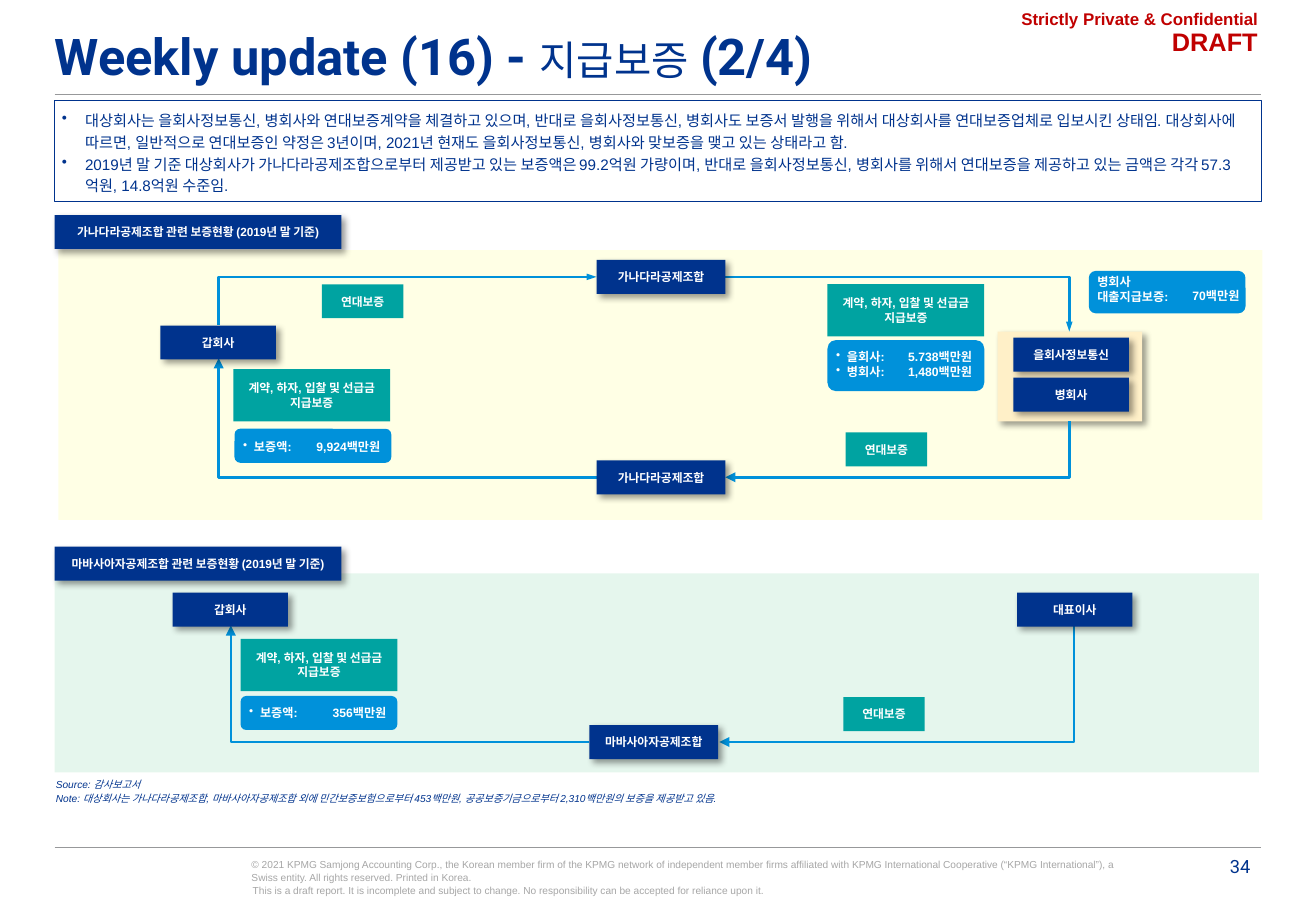
from dataclasses import dataclass
from typing import Optional

import lxml.etree
import pptx
import pptx.dml.color
import pptx.enum.shapes
import pptx.enum.text
import pptx.oxml
import pptx.oxml.ns
import pptx.shapes.autoshape
import pptx.text.text
import pptx.util

Inches = pptx.util.Inches
Align = pptx.enum.text.PP_ALIGN
Anchor = pptx.enum.text.MSO_ANCHOR
Preset = pptx.enum.shapes.MSO_SHAPE


@dataclass(frozen=True)
class Theme:
    navy: str = "00338D"
    blue: str = "0091DA"
    teal: str = "00A3A1"
    beige: str = "FFF0C8"
    yellow: str = "FFFFCC"
    green: str = "00B050"
    white: str = "FFFFFF"
    red: str = "C00000"
    grey: str = "A6A6A6"
    rule: str = "97989A"
    body_font: str = "Arial"
    title_font: str = "Roboto"
    title: float = 30
    subject: float = 24
    draft: float = 15
    page: float = 10.8
    confidential: float = 10
    summary: float = 9
    amount: float = 7.2
    label: float = 7
    note: float = 6


THEME = Theme()


@dataclass(frozen=True)
class Box:
    left: float
    top: float
    width: float
    height: float


@dataclass(frozen=True)
class Style:
    size: float
    color: str
    bold: bool = False
    italic: bool = False
    font: str = THEME.body_font
    align: Align = Align.LEFT
    anchor: Anchor = Anchor.TOP
    inset: float = 0
    bullet: float = 0
    spacing: float = 1
    wrap: bool = True


@dataclass(frozen=True)
class Panel:
    box: Box
    fill: str
    text: str = ""
    shadow: bool = False
    alpha: int = 100


@dataclass(frozen=True)
class Flow:
    union: tuple[float, float]
    party: tuple[float, float]
    arrow: str
    width: str = "med"


@dataclass(frozen=True)
class Amount:
    pill: Box
    names: tuple[str, ...]
    values: tuple[str, ...]
    names_top: float
    values_top: float
    right: float
    bulleted: bool = True


LABEL = Style(THEME.label, THEME.white, bold=True, align=Align.CENTER, anchor=Anchor.MIDDLE, inset=0.06)


def rgb(color: str) -> pptx.dml.color.RGBColor:
    return pptx.dml.color.RGBColor.from_string(color)


def child(parent: lxml.etree.ElementBase, tag: str, **attributes: str) -> lxml.etree.ElementBase:
    return lxml.etree.SubElement(parent, pptx.oxml.ns.qn(tag), attributes)


def place(box: Box) -> tuple[int, ...]:
    return tuple(Inches(v) for v in (box.left, box.top, box.width, box.height))


def write(frame: pptx.text.text.TextFrame, lines: tuple[str, ...], style: Style) -> None:
    frame.word_wrap = style.wrap
    frame.vertical_anchor = style.anchor
    frame.margin_left = frame.margin_right = Inches(style.inset)
    frame.margin_top = frame.margin_bottom = Inches(style.inset)
    for index, line in enumerate(lines):
        paragraph = frame.add_paragraph() if index else frame.paragraphs[0]
        paragraph.text = line
        paragraph.alignment = style.align
        paragraph.line_spacing = style.spacing
        if style.bullet:
            properties = paragraph._p.get_or_add_pPr()
            properties.set("marL", str(Inches(style.bullet)))
            properties.set("indent", str(-Inches(style.bullet)))
            child(properties, "a:buChar", char="•")
        font = paragraph.font
        font.name, font.size = style.font, pptx.util.Pt(style.size)
        font.bold, font.italic = style.bold, style.italic
        font.color.rgb = rgb(style.color)


def add_text(slide: pptx.slide.Slide, box: Box, lines: tuple[str, ...], style: Style) -> None:
    write(slide.shapes.add_textbox(*place(box)).text_frame, lines, style)


def add_filled(slide: pptx.slide.Slide, box: Box, fill: str,
               preset: Preset = Preset.RECTANGLE) -> pptx.shapes.autoshape.Shape:
    shape = slide.shapes.add_shape(preset, *place(box))
    shape.shadow.inherit = False
    shape.fill.solid()
    shape.fill.fore_color.rgb = rgb(fill)
    shape.line.fill.background()
    return shape


def add_panel(slide: pptx.slide.Slide, panel: Panel) -> None:
    shape = add_filled(slide, panel.box, panel.fill)
    properties = shape._element.spPr
    if panel.alpha < 100:
        color = properties.find(".//" + pptx.oxml.ns.qn("a:srgbClr"))
        child(color, "a:alpha", val=str(panel.alpha * 1000))
    if panel.shadow:
        effects = properties.find(pptx.oxml.ns.qn("a:effectLst"))
        outer = child(effects, "a:outerShdw", blurRad=str(pptx.util.Pt(4)), dist=str(pptx.util.Pt(3)),
                      dir="2700000", algn="tl", rotWithShape="0")
        child(child(outer, "a:srgbClr", val="000000"), "a:alpha", val="40000")
    if panel.text:
        write(shape.text_frame, (panel.text,), LABEL)


def add_line(slide: pptx.slide.Slide, start: tuple[float, float], end: tuple[float, float], color: str,
             width: float, kind: pptx.enum.shapes.MSO_CONNECTOR) -> pptx.shapes.connector.Connector:
    line = slide.shapes.add_connector(kind, *(Inches(v) for v in start + end))
    line.line.color.rgb = rgb(color)
    line.line.width = pptx.util.Pt(width)
    child(line._element.spPr, "a:effectLst")
    return line


def add_flow(slide: pptx.slide.Slide, flow: Flow) -> None:
    line = add_line(slide, flow.union, flow.party, THEME.blue, 1.5, pptx.enum.shapes.MSO_CONNECTOR.ELBOW)
    line._element.spPr.find(pptx.oxml.ns.qn("a:prstGeom")).set("prst", "bentConnector2")
    child(line.line._get_or_add_ln(), flow.arrow, type="triangle", w=flow.width, len="med")


def add_amount(slide: pptx.slide.Slide, amount: Amount) -> None:
    add_filled(slide, amount.pill, THEME.blue, Preset.ROUNDED_RECTANGLE)
    height = 0.12 * len(amount.values)
    names = Style(THEME.amount, THEME.white, bold=True, bullet=0.09 if amount.bulleted else 0)
    values = Style(THEME.amount, THEME.white, bold=True, align=Align.RIGHT)
    add_text(slide, Box(amount.pill.left + 0.07, amount.names_top, 0.75, height), amount.names, names)
    add_text(slide, Box(amount.right - 0.68, amount.values_top, 0.68, height), amount.values, values)


def heading(top: float, text: str) -> Panel:
    return Panel(Box(0.45, top, 2.36, 0.28), THEME.navy, text, shadow=True)


def union(left: float, top: float, text: str) -> Panel:
    return Panel(Box(left, top, 1.06, 0.28), THEME.navy, text, shadow=True)


def party(left: float, top: float, text: str) -> Panel:
    return Panel(Box(left, top, 0.95, 0.28), THEME.navy, text, shadow=True)


def joint(left: float, top: float) -> Panel:
    return Panel(Box(left, top, 0.67, 0.28), THEME.teal, "연대보증")


def payment(left: float, top: float) -> Panel:
    return Panel(Box(left, top, 1.29, 0.43), THEME.teal, "계약, 하자, 입찰 및 선급금 지급보증")


AREAS = (
    Panel(Box(0.48, 2.06, 9.91, 2.22), THEME.yellow, alpha=50),
    Panel(Box(0.45, 4.72, 9.91, 1.64), THEME.green, alpha=10),
    Panel(Box(8.21, 2.73, 1.19, 0.74), THEME.beige, shadow=True),
)
FLOWS = (
    Flow((4.91, 2.28), (1.8, 2.68), "a:headEnd", "sm"),
    Flow((5.97, 2.28), (8.8, 2.73), "a:tailEnd", "sm"),
    Flow((5.97, 3.93), (8.8, 3.47), "a:headEnd"),
    Flow((4.91, 3.93), (1.8, 2.95), "a:tailEnd"),
    Flow((5.92, 6.11), (8.84, 5.15), "a:headEnd"),
    Flow((4.85, 6.11), (1.9, 5.15), "a:tailEnd"),
)
LABELS = (
    heading(1.77, "가나다라공제조합 관련 보증현황 (2019년 말 기준)"),
    heading(4.5, "마바사아자공제조합 관련 보증현황 (2019년 말 기준)"),
    union(4.91, 2.14, "가나다라공제조합"), union(4.91, 3.79, "가나다라공제조합"),
    union(4.85, 5.97, "마바사아자공제조합"),
    party(1.32, 2.68, "갑회사"), party(8.34, 2.78, "을회사정보통신"), party(8.34, 3.11, "병회사"),
    party(1.42, 4.88, "갑회사"), party(8.37, 4.88, "대표이사"),
    joint(2.65, 2.34), joint(6.96, 3.56), joint(6.94, 5.74),
    payment(6.81, 2.34), payment(1.92, 3.04), payment(1.98, 5.26),
)
AMOUNTS = (
    Amount(Box(6.81, 2.8, 1.29, 0.42), ("을회사:", "병회사:"), ("5.738백만원", "1,480백만원"), 2.88, 2.88, 8),
    Amount(Box(8.96, 2.23, 1.29, 0.35), ("병회사 대출지급보증:",), ("70백만원",), 2.26, 2.37, 10.2, False),
    Amount(Box(1.93, 3.53, 1.29, 0.28), ("보증액:",), ("9,924백만원",), 3.62, 3.62, 3.13),
    Amount(Box(1.98, 5.73, 1.29, 0.28), ("보증액:",), ("356백만원",), 5.81, 5.81, 3.18),
)
SUMMARY = (
    "대상회사는 을회사정보통신, 병회사와 연대보증계약을 체결하고 있으며, 반대로 을회사정보통신, 병회사도 보증서 발행을 위해서 대상회사를 연대보증업체로 입보시킨 상태임. 대상회사에 따르면, 일반적으로 연대보증인 약정은 3년이며, 2021년 현재도 을회사정보통신, 병회사와 맞보증을 맺고 있는 상태라고 함.",
    "2019년 말 기준 대상회사가 가나다라공제조합으로부터 제공받고 있는 보증액은 99.2억원 가량이며, 반대로 을회사정보통신, 병회사를 위해서 연대보증을 제공하고 있는 금액은 각각 57.3억원, 14.8억원 수준임.",
)
NOTES = (
    "Source: 감사보고서",
    "Note: 대상회사는 가나다라공제조합, 마바사아자공제조합 외에 민간보증보험으로부터 453백만원, 공공보증기금으로부터 2,310백만원의 보증을 제공받고 있음.",
)
COPYRIGHT = "© 2021 KPMG Samjong Accounting Corp., the Korean member firm of the KPMG network of independent member firms affiliated with KPMG International Cooperative (“KPMG International”), a Swiss entity. All rights reserved. Printed in Korea."
DISCLAIMER = "This is a draft report. It is incomplete and subject to change. No responsibility can be accepted for reliance upon it."


def add_frame(slide: pptx.slide.Slide) -> None:
    small = Style(THEME.note, THEME.grey)
    add_text(slide, Box(9.86, 7.04, 0.43, 0.16), ("34",),
             Style(THEME.page, THEME.navy, font=THEME.title_font, align=Align.RIGHT))
    add_text(slide, Box(2.07, 7.07, 7.2, 0.2), (COPYRIGHT,), small)
    add_text(slide, Box(2.08, 7.28, 4.3, 0.1), (DISCLAIMER,), small)
    add_text(slide, Box(7.39, 0.07, 2.96, 0.17), ("Strictly Private & Confidential",),
             Style(THEME.confidential, THEME.red, bold=True, align=Align.RIGHT))
    add_text(slide, Box(8.74, 0.16, 1.67, 0.41), ("DRAFT",),
             Style(THEME.draft, THEME.red, bold=True, align=Align.RIGHT, inset=0.06))
    for height in (0.78, 6.98):
        add_line(slide, (0.45, height), (10.38, height), THEME.rule, 0.5,
                 pptx.enum.shapes.MSO_CONNECTOR.STRAIGHT)


def add_title(slide: pptx.slide.Slide) -> None:
    frame = slide.shapes.add_textbox(*place(Box(0.45, 0.14, 9.93, 0.63))).text_frame
    write(frame, ("",), Style(THEME.title, THEME.navy, font=THEME.title_font, anchor=Anchor.MIDDLE))
    for text, size, bold in (("Weekly update (16) - ", THEME.title, True),
                             ("지급보증", THEME.subject, False), (" (2/4)", THEME.title, True)):
        run = frame.paragraphs[0].add_run()
        run.text, run.font.size, run.font.bold = text, pptx.util.Pt(size), bold


def main() -> None:
    deck = pptx.Presentation()
    deck.slide_width, deck.slide_height = Inches(10.83), Inches(7.5)
    slide = deck.slides.add_slide(deck.slide_layouts[6])
    add_frame(slide)
    add_title(slide)
    summary = add_filled(slide, Box(0.45, 0.83, 9.93, 0.83), THEME.white)
    summary.line.color.rgb = rgb(THEME.navy)
    summary.line.width = pptx.util.Pt(0.5)
    write(summary.text_frame, SUMMARY, Style(THEME.summary, THEME.navy, anchor=Anchor.MIDDLE,
                                             inset=0.06, bullet=0.19, spacing=1.2))
    for area in AREAS:
        add_panel(slide, area)
    for flow in FLOWS:
        add_flow(slide, flow)
    for label in LABELS:
        add_panel(slide, label)
    for amount in AMOUNTS:
        add_amount(slide, amount)
    add_text(slide, Box(0.45, 6.38, 8.32, 0.25), NOTES,
             Style(THEME.note, THEME.navy, italic=True, anchor=Anchor.MIDDLE, inset=0.01, spacing=1.2))
    deck.save("out.pptx")


if __name__ == "__main__":
    main()
